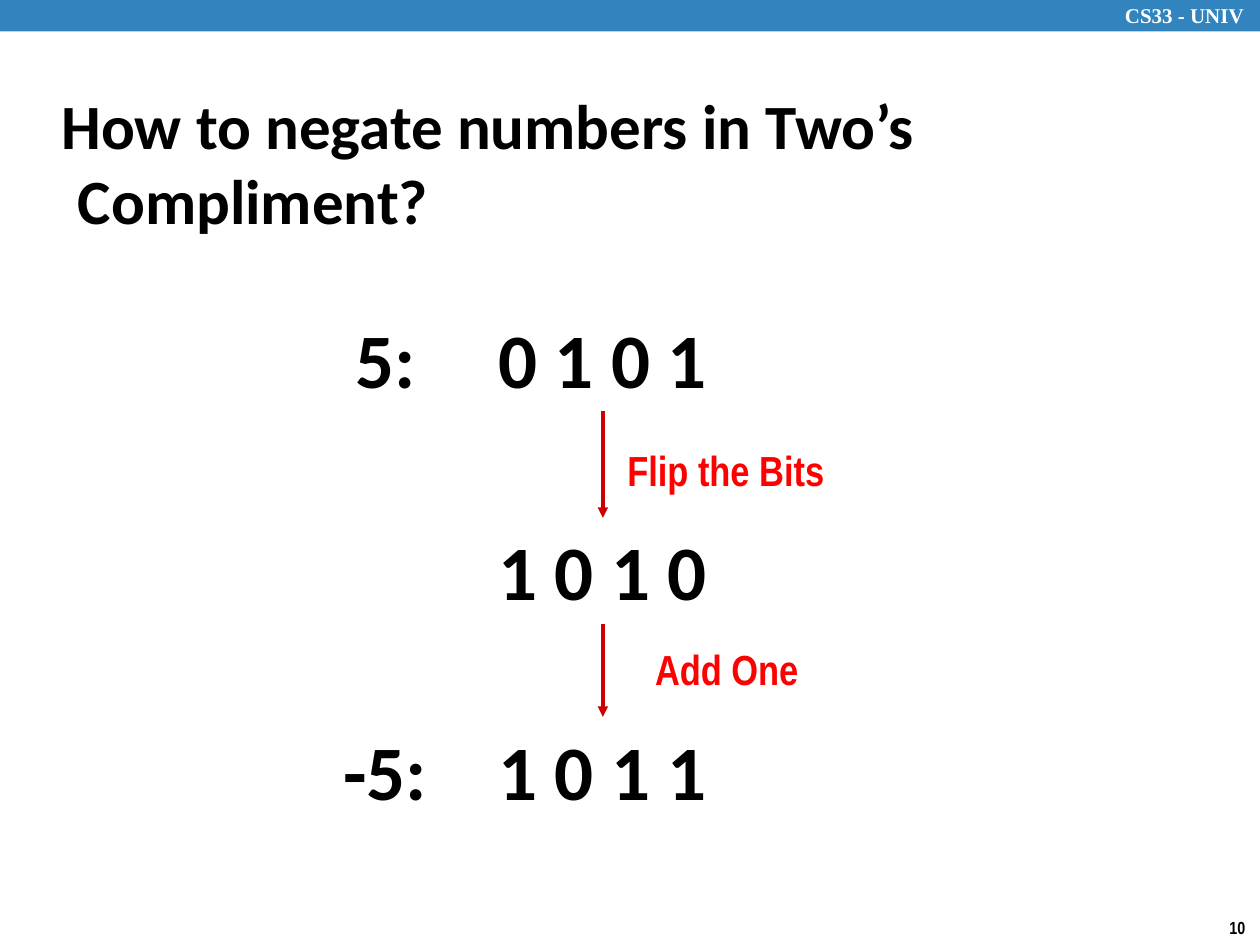
from lxml.etree import SubElement
from pptx import Presentation
from pptx.dml.color import RGBColor
from pptx.enum.shapes import MSO_CONNECTOR, MSO_SHAPE
from pptx.enum.text import MSO_ANCHOR, PP_ALIGN
from pptx.oxml.ns import qn
from pptx.util import Inches, Pt

TITLE = "How to negate numbers in Two’s Compliment?"
HEADER = "CS33 - UNIV"
PAGE_NUMBER = "10"

# top, bits, and (text, left, width) of the decimal label
BIT_ROWS = [
    (2.42, "0 1 0 1", ("5: ", 2.72, 0.82)),
    (4.11, "1 0 1 0", None),
    (5.69, "1 0 1 1", ("-5: ", 2.62, 1.01)),
]
# text, left, top, width; each step leads from one bit row to the next
STEPS = [("Flip the Bits", 4.88, 3.48, 1.78), ("Add One", 5.1, 5.06, 1.35)]

BITS_LEFT, BITS_WIDTH, ROW_HEIGHT = 3.38, 2.81, 0.84
ARROW_X = BITS_LEFT + BITS_WIDTH / 2

TITLE_FONT = {"name": "Calibri", "size": Pt(36), "bold": True, "color": "000000"}
BITS_FONT = {**TITLE_FONT, "size": Pt(44)}
STEP_FONT = {"name": "Arial Narrow", "size": Pt(24), "bold": True, "color": "FF0000"}
PAGE_FONT = {**STEP_FONT, "size": Pt(10), "color": "000000"}
HEADER_FONT = {"name": "Times New Roman", "size": Pt(12), "bold": True, "color": "FFFFFF"}


def rgb(value):
    """Turn a hex string into a colour."""
    return RGBColor.from_string(value)


def add_text(slide, text, box, font_format, align=PP_ALIGN.LEFT, wrap=True,
             anchor=MSO_ANCHOR.TOP):
    """Add a text box of one paragraph and return the paragraph."""
    frame = slide.shapes.add_textbox(*map(Inches, box)).text_frame
    frame.word_wrap = wrap
    frame.vertical_anchor = anchor
    paragraph = frame.paragraphs[0]
    paragraph.alignment = align
    run = paragraph.add_run()
    run.text = text
    for name, value in font_format.items():
        if name == "color":
            run.font.color.rgb = rgb(value)
        else:
            setattr(run.font, name, value)
    return paragraph


def add_arrow(slide, x, top, bottom):
    """Add a red arrow pointing straight down."""
    arrow = slide.shapes.add_connector(
        MSO_CONNECTOR.STRAIGHT, Inches(x), Inches(top), Inches(x), Inches(bottom))
    arrow.line.color.rgb = rgb("CC0000")
    arrow.line.width = Pt(2)
    SubElement(arrow.line._get_or_add_ln(), qn("a:tailEnd"), type="triangle")
    SubElement(arrow._element.spPr, qn("a:effectLst"))


def add_frame(slide):
    """Add the header bar, its course name and the page number."""
    bar = slide.shapes.add_shape(MSO_SHAPE.RECTANGLE, 0, 0, Inches(10), Inches(0.25))
    bar.shadow.inherit = False
    bar.fill.solid()
    bar.fill.fore_color.rgb = rgb("3284BF")
    bar.line.fill.background()
    add_text(slide, HEADER, (8.83, -0.03, 1.24, 0.3), HEADER_FONT)
    add_text(slide, PAGE_NUMBER, (9.66, 7.23, 0.34, 0.27), PAGE_FONT, wrap=False)


def add_title(slide):
    """Add the title with a small hanging indent."""
    paragraph = add_text(slide, TITLE, (0.39, 0.48, 8.3, 1.61), TITLE_FONT,
                         anchor=MSO_ANCHOR.MIDDLE)
    properties = paragraph._p.get_or_add_pPr()
    properties.set("marL", str(Inches(0.13)))
    properties.set("indent", str(-Inches(0.13)))


def add_negation(slide):
    """Add the bit rows, their labels, and the steps between them."""
    for top, bits, label in BIT_ROWS:
        add_text(slide, bits, (BITS_LEFT, top, BITS_WIDTH, ROW_HEIGHT), BITS_FONT,
                 PP_ALIGN.CENTER)
        if label:
            text, left, width = label
            add_text(slide, text, (left, top, width, ROW_HEIGHT), BITS_FONT,
                     PP_ALIGN.CENTER, wrap=False)
    for upper, lower, step in zip(BIT_ROWS, BIT_ROWS[1:], STEPS):
        add_arrow(slide, ARROW_X, upper[0] + ROW_HEIGHT, lower[0])
        text, left, top, width = step
        add_text(slide, text, (left, top, width, 0.5), STEP_FONT, wrap=False)


presentation = Presentation()
presentation.slide_width, presentation.slide_height = Inches(10), Inches(7.5)
slide = presentation.slides.add_slide(presentation.slide_layouts[6])
add_frame(slide)
add_negation(slide)
add_title(slide)
presentation.save("out.pptx")
